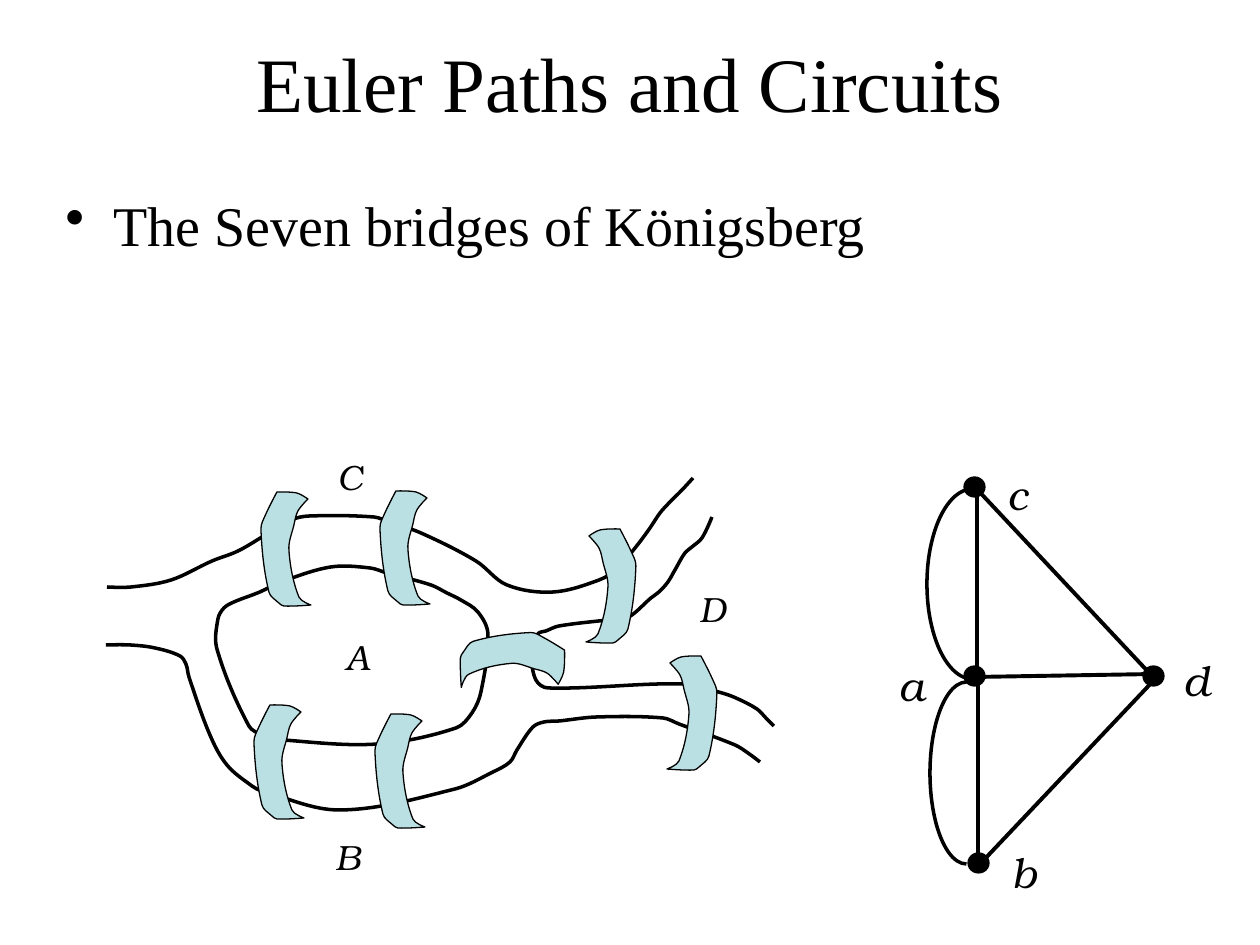
import math

from lxml import etree
from pptx import Presentation
from pptx import util as u
from pptx.dml.color import RGBColor
from pptx.enum import shapes, text
from pptx.oxml.ns import qn

EMU_PER_PX = 914400 / 126
BLACK, BRIDGE_BLUE = "000000", "BBE0E3"
SERIF, LABEL_FONT = "Times New Roman", "TeX Gyre Bonum"

# River banks and island, as points on smooth curves
UPPER_BANK = [
    (107, 587), (131, 587), (171, 580), (212, 561), (238, 551), (267, 534),
    (291, 520), (309, 516), (374, 517), (389, 522), (421, 533), (476, 561),
    (507, 585), (553, 592), (599, 580), (619, 568), (627, 558), (639, 543),
    (650, 528), (660, 513), (669, 503), (682, 490), (693, 478)]
ISLAND = [
    (224, 608), (234, 602), (260, 592), (281, 582), (331, 567), (370, 568),
    (387, 573), (431, 585), (447, 593), (461, 600), (478, 612), (488, 634),
    (481, 692), (472, 713), (456, 728), (378, 744), (284, 740), (263, 735),
    (249, 726), (217, 649), (218, 619)]
LOWER_BANK = [
    (106, 645), (130, 645), (155, 648), (180, 656), (186, 664), (189, 677),
    (210, 735), (227, 765), (252, 786), (262, 791), (340, 810), (455, 789),
    (493, 772), (510, 762), (517, 750), (533, 727), (544, 722), (559, 721),
    (597, 717), (663, 718), (679, 724), (735, 745), (748, 753), (760, 762)]
EAST_BANK = [
    (712, 517), (702, 538), (692, 547), (685, 553), (675, 570), (668, 582),
    (659, 592), (651, 598), (629, 617), (616, 619), (559, 626), (546, 631),
    (538, 634), (532, 656), (536, 680), (548, 688), (685, 684), (722, 693),
    (736, 698), (757, 709), (766, 718), (774, 726)]

# One bridge outline, in a box of 50 by 116
BRIDGE_SIZE = (50, 116)
BRIDGE = [
    (16, 2), (5, 24), (0, 39), (8, 102), (18, 113), (23, 116), (50, 115),
    (38, 107), (28, 60), (33, 35), (37, 21), (47, 9), (36, 3)]


def px(value):
    return u.Emu(round(value * EMU_PER_PX))


def color(hex_string):
    return RGBColor.from_string(hex_string)


def style(shape, fill, weight):
    shape.shadow.inherit = False
    if fill:
        shape.fill.solid()
        shape.fill.fore_color.rgb = color(fill)
    else:
        shape.fill.background()
    shape.line.color.rgb = color(BLACK)
    shape.line.width = u.Pt(weight)


def tangent(before, point, after):
    """Unit direction of the curve at a point; zero at ends and corners."""
    if before is None or after is None:
        return 0, 0
    incoming = (point[0] - before[0], point[1] - before[1])
    outgoing = (after[0] - point[0], after[1] - point[1])
    dot = incoming[0] * outgoing[0] + incoming[1] * outgoing[1]
    if dot < 0.5 * math.hypot(*incoming) * math.hypot(*outgoing):
        return 0, 0
    length = math.dist(before, after)
    return (after[0] - before[0]) / length, (after[1] - before[1]) / length


def add_curve(slide, points, closed=False, fill=None, weight=2):
    count = len(points)

    def at(index):
        if closed:
            return points[index % count]
        return points[index] if 0 <= index < count else None

    # Two control points and an end point for every segment
    vertices = []
    for i in range(count if closed else count - 1):
        start, end = at(i), at(i + 1)
        third = math.dist(start, end) / 3
        leave = tangent(at(i - 1), start, end)
        arrive = tangent(start, end, at(i + 2))
        vertices += [
            (start[0] + leave[0] * third, start[1] + leave[1] * third),
            (end[0] - arrive[0] * third, end[1] - arrive[1] * third),
            end]
    builder = slide.shapes.build_freeform(px(points[0][0]), px(points[0][1]))
    builder.add_line_segments([(px(x), px(y)) for x, y in vertices], close=closed)
    shape = builder.convert_to_shape()

    # Join every three line segments into one Bézier segment
    lines = list(shape._element.iter(qn("a:lnTo")))
    for i in range(0, len(lines), 3):
        bezier = etree.Element(qn("a:cubicBezTo"))
        lines[i].addprevious(bezier)
        for line in lines[i:i + 3]:
            bezier.append(line[0])
            line.getparent().remove(line)
    style(shape, fill, weight)
    return shape


def add_bridge(slide, left, top, size=BRIDGE_SIZE, mirrored=False, rotation=0):
    scale_x, scale_y = size[0] / BRIDGE_SIZE[0], size[1] / BRIDGE_SIZE[1]
    points = [(left + (BRIDGE_SIZE[0] - x if mirrored else x) * scale_x,
               top + y * scale_y) for x, y in BRIDGE]
    shape = add_curve(slide, points, closed=True, fill=BRIDGE_BLUE, weight=0.75)
    shape.rotation = rotation


def add_edge(slide, start, end):
    edge = slide.shapes.add_connector(
        shapes.MSO_CONNECTOR.STRAIGHT, *map(px, start + end))
    edge.line.color.rgb = color(BLACK)
    edge.line.width = u.Pt(2.25)
    etree.SubElement(edge._element.spPr, qn("a:effectLst"))


def add_vertex(slide, left, top):
    vertex = slide.shapes.add_shape(
        shapes.MSO_SHAPE.OVAL, px(left), px(top), px(21), px(20))
    style(vertex, BLACK, 0.75)


def add_curved_edge(slide, left, top, width, height):
    """Left half of an ellipse."""
    arc = slide.shapes.add_shape(
        shapes.MSO_SHAPE.ARC, px(left), px(top), px(width), px(height))
    arc.adjustments[0], arc.adjustments[1] = 54, 162  # 90 and 270 degrees
    style(arc, None, 2)


def add_text(slide, wording, box, size, font=SERIF, italic=False, wrap=True):
    shape = slide.shapes.add_textbox(*map(px, box))
    frame = shape.text_frame
    frame.word_wrap = wrap
    frame.text = wording
    run_font = frame.paragraphs[0].runs[0].font
    run_font.name, run_font.size, run_font.italic = font, u.Pt(size), italic
    run_font.color.rgb = color(BLACK)
    return frame


def add_label(slide, letter, left, top, size):
    box = (left, top, 50, 63 if size == 24 else 55)
    add_text(slide, letter, box, size, LABEL_FONT, italic=True, wrap=False)


def add_bullet(paragraph, indent):
    properties = paragraph._p.get_or_add_pPr()
    properties.set("marL", str(px(indent)))
    properties.set("indent", str(-px(indent)))
    etree.SubElement(properties, qn("a:buChar")).set("char", "•")


def main():
    presentation = Presentation()
    presentation.slide_width, presentation.slide_height = px(1260), px(945)
    slide = presentation.slides.add_slide(presentation.slide_layouts[6])

    # Title and bullet
    title = add_text(slide, "Euler Paths and Circuits", (63, 24, 1134, 116), 44)
    title.vertical_anchor = text.MSO_ANCHOR.MIDDLE
    title.paragraphs[0].alignment = text.PP_ALIGN.CENTER
    body = add_text(slide, "The Seven bridges of Königsberg", (53, 184, 1124, 220), 32)
    add_bullet(body.paragraphs[0], 48)

    # Graph
    for start, end in [((973, 485), (1153, 677)), ((975, 677), (1157, 674)),
                       ((978, 861), (978, 674)), ((977, 669), (977, 484)),
                       ((1157, 677), (982, 862))]:
        add_edge(slide, start, end)
    for left, top in [(964, 477), (964, 666), (1143, 666), (968, 853)]:
        add_vertex(slide, left, top)
    add_curved_edge(slide, 927, 489, 91, 190)
    add_curved_edge(slide, 930, 682, 73, 182)
    for letter, left, top in [("a", 886, 653), ("b", 999, 840),
                              ("c", 995, 462), ("d", 1171, 648)]:
        add_label(slide, letter, left, top, 24)

    # Map of the river
    for bank in (UPPER_BANK, LOWER_BANK, EAST_BANK):
        add_curve(slide, bank)
    add_curve(slide, ISLAND, closed=True)
    for left, top in [(261, 490), (380, 489), (254, 703), (375, 712)]:
        add_bridge(slide, left, top)
    add_bridge(slide, 485, 606, size=(55, 106), rotation=90)
    for left, top in [(586, 527), (667, 654)]:
        add_bridge(slide, left, top, mirrored=True)
    for letter, left, top in [("A", 333, 629), ("B", 323, 829),
                              ("C", 325, 449), ("D", 687, 581)]:
        add_label(slide, letter, left, top, 20)

    presentation.save("out.pptx")


if __name__ == "__main__":
    main()
